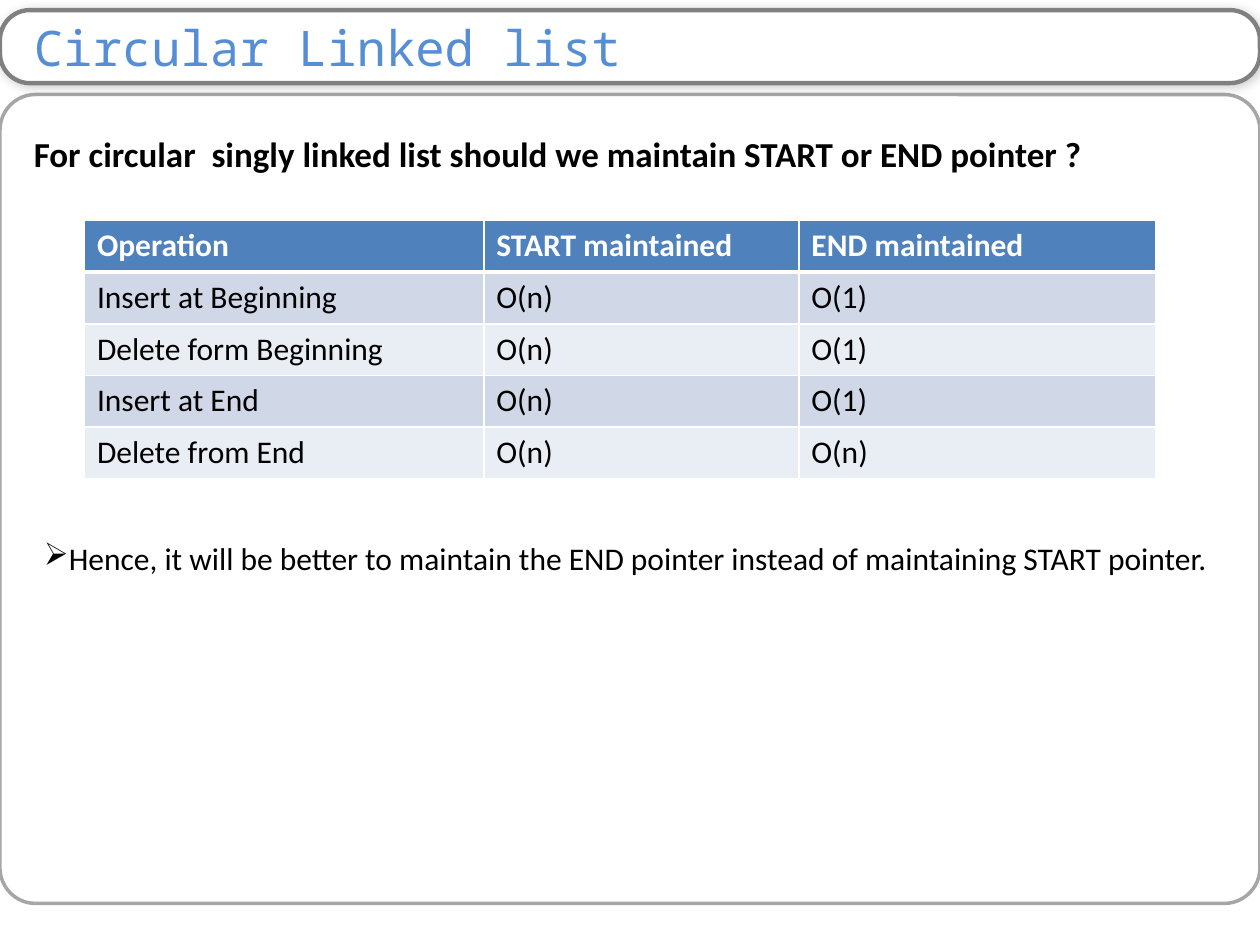
"""Build the circular linked list slide comparing START and END pointers."""
import pptx
import pptx.util
import pptx.dml.color
import pptx.enum.shapes
import pptx.enum.text
import pptx.oxml
import pptx.oxml.ns

TITLE = "Circular Linked list"
QUESTION = "For circular  singly linked list should we maintain START or END pointer ?"
ANSWER = "Hence, it will be better to maintain the END pointer instead of maintaining START pointer."
ROWS = [
    ("Operation", "START maintained", "END maintained"),
    ("Insert at Beginning", "O(n)", "O(1)"),
    ("Delete form Beginning", "O(n)", "O(1)"),
    ("Insert at End", "O(n)", "O(1)"),
    ("Delete from End", "O(n)", "O(n)"),
]
COL_WIDTHS = (3.17, 2.5, 2.83)
ROW_HEIGHT = 0.41
HEADER_FILL, BANDS = "4F81BD", ("D0D8E8", "E9EDF4")
NS = pptx.oxml.ns.nsdecls("a")
Inches, Pt = pptx.util.Inches, pptx.util.Pt


def rgb(value):
    return pptx.dml.color.RGBColor.from_string(value)


def box(*lengths):
    return [Inches(v) for v in lengths]


def write(tf, text, size, color="000000", font="Calibri", bold=False):
    tf.word_wrap = True
    p = tf.paragraphs[0]
    p.text = text
    p.alignment = pptx.enum.text.PP_ALIGN.LEFT
    p.font.size, p.font.name, p.font.bold = Pt(size), font, bold
    p.font.color.rgb = rgb(color)
    return p


def panel(s, at, radius, line, width):
    sp = s.shapes.add_shape(pptx.enum.shapes.MSO_SHAPE.ROUNDED_RECTANGLE, *box(*at))
    sp.adjustments[0] = radius
    sp.shadow.inherit = False
    sp.fill.background()
    sp.line.color.rgb, sp.line.width = rgb(line), Pt(width)
    return sp


def text_box(s, at, text, size, bold=False):
    tf = s.shapes.add_textbox(*box(*at)).text_frame
    tf.auto_size = pptx.enum.text.MSO_AUTO_SIZE.SHAPE_TO_FIT_TEXT
    return write(tf, text, size, bold=bold)


def borders(cell, bottom):
    tcPr = cell._tc.get_or_add_tcPr()
    for i, (side, width) in enumerate(zip("LRTB", (1, 1, 1, bottom))):
        tcPr.insert(i, pptx.oxml.parse_xml(
            f'<a:ln{side} {NS} w="{Pt(width)}"><a:solidFill><a:srgbClr val="FFFFFF"/>'
            f'</a:solidFill></a:ln{side}>'))


prs = pptx.Presentation()
prs.slide_width, prs.slide_height = box(10, 7.5)
s = prs.slides.add_slide(prs.slide_layouts[6])

panel(s, (0, 0.75, 10, 6.42), 0.044, "A6A6A6", 2)
title = panel(s, (0, 0.08, 10, 0.58), 0.409, "808080", 2.5)
title.fill.solid()
title.fill.fore_color.rgb = rgb("FFFFFF")
effects = title._element.spPr.find(pptx.oxml.ns.qn("a:effectLst"))
effects.append(pptx.oxml.parse_xml(
    f'<a:outerShdw {NS} blurRad="{Pt(6)}" dist="{Pt(1)}" dir="{45 * 60000}" rotWithShape="0">'
    '<a:srgbClr val="000000"><a:alpha val="20000"/></a:srgbClr></a:outerShdw>'))
tf = title.text_frame
tf.margin_left, tf.margin_top, tf.margin_right, tf.margin_bottom = box(0.2, 0, 0.1, 0)
tf.vertical_anchor = pptx.enum.text.MSO_ANCHOR.MIDDLE
write(tf, TITLE, 28, "558ED5", "Noto Sans Mono")

text_box(s, (0.17, 1, 9.67, 0.74), QUESTION, 20, bold=True)

table = s.shapes.add_table(
    len(ROWS), len(COL_WIDTHS),
    *box(0.67, 1.75, sum(COL_WIDTHS), ROW_HEIGHT * len(ROWS))).table
for column, width in zip(table.columns, COL_WIDTHS):
    column.width = Inches(width)
for i, row in enumerate(ROWS):
    table.rows[i].height = Inches(ROW_HEIGHT)
    header = i == 0
    for j, text in enumerate(row):
        cell = table.cell(i, j)
        write(cell.text_frame, text, 18, "FFFFFF" if header else "000000", bold=header)
        cell.fill.solid()
        cell.fill.fore_color.rgb = rgb(HEADER_FILL if header else BANDS[(i - 1) % 2])
        borders(cell, 3 if header else 1)

p = text_box(s, (0.25, 4.08, 9.5, 0.51), ANSWER, 18)
p.alignment = pptx.enum.text.PP_ALIGN.JUSTIFY
p.line_spacing = 1.5
p._p.get_or_add_pPr().insert_element_before(
    pptx.oxml.parse_xml(f'<a:buChar {NS} char="➢"/>'), "a:tabLst", "a:defRPr", "a:extLst")

prs.save("out.pptx")
